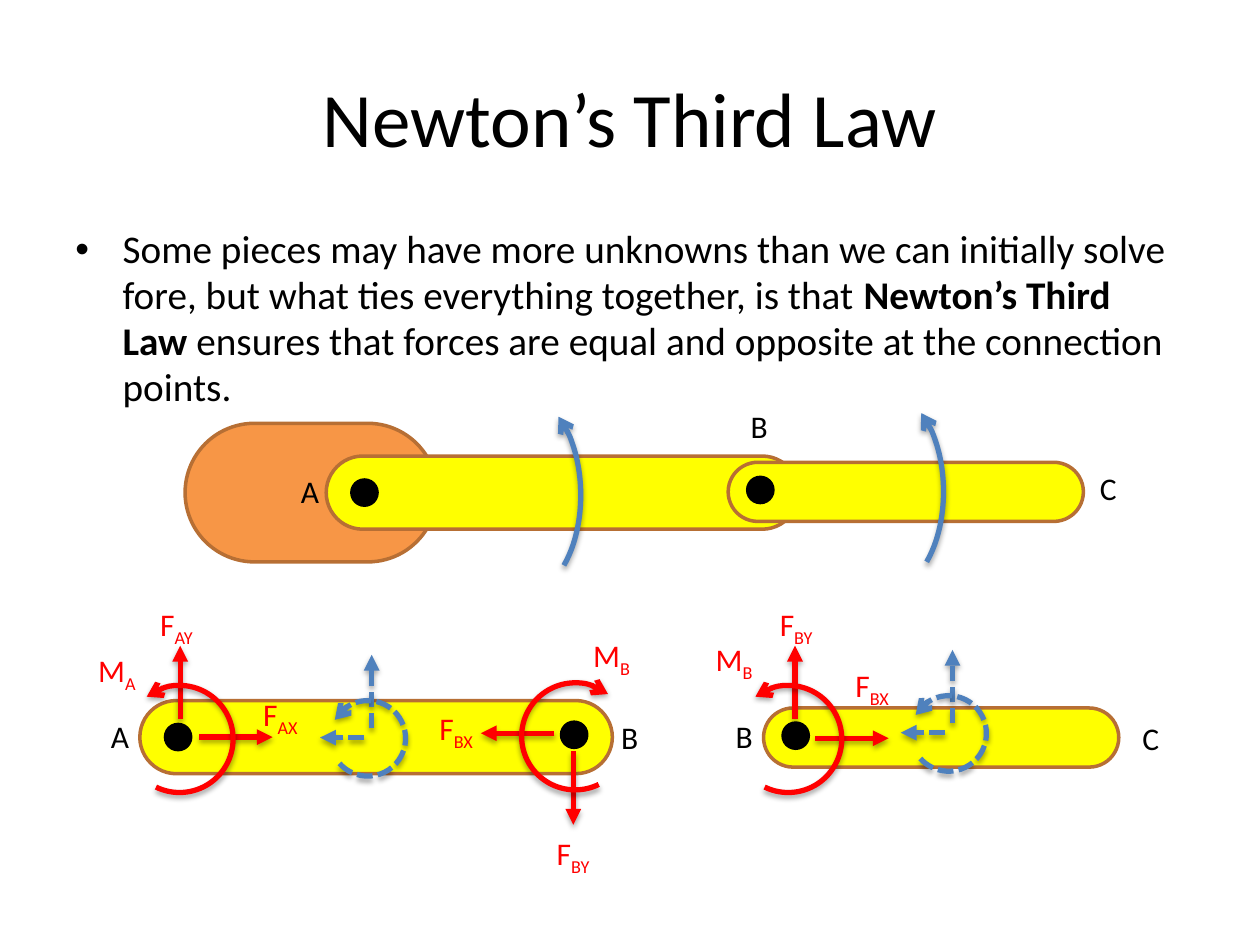
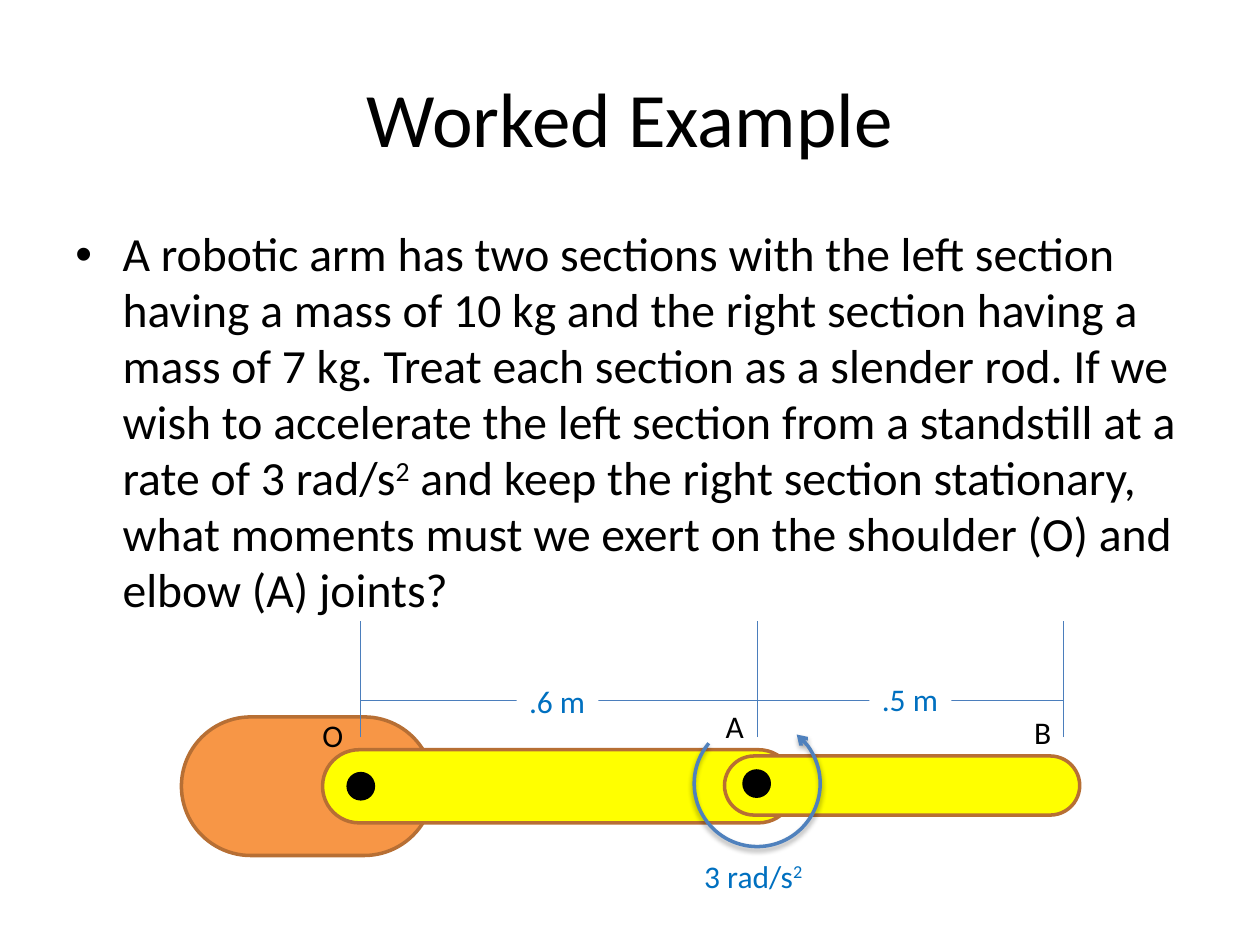
"""Build two slides on Newton's third law applied to a robotic arm."""
from dataclasses import dataclass

from lxml.etree import SubElement
from pptx import Presentation
from pptx.dml.color import RGBColor
from pptx.enum.dml import MSO_LINE
from pptx.enum.shapes import MSO_CONNECTOR, MSO_SHAPE
from pptx.enum.text import MSO_ANCHOR, MSO_AUTO_SIZE, PP_ALIGN
from pptx.oxml.ns import qn
from pptx.util import Pt


@dataclass(frozen=True)
class Theme:
    font: str = "Calibri"
    ink: str = "000000"
    force: str = "FF0000"
    motion: str = "4F81BD"
    dimension: str = "4B7EBC"
    dimension_text: str = "0070C0"
    paper: str = "FFFFFF"
    shoulder: str = "F79646"
    link: str = "FFFF00"
    edge: str = "B76F34"
    title_size: float = 44
    label_size: float = 18
    outline: float = 2
    arrow: float = 3
    hairline: float = 0.75
    shadow_blur: float = 3.1
    shadow_drop: float = 1.8
    shadow_alpha: int = 35


THEME = Theme()

SUB, SUPER = -25, 30

LAW = {
    "title": "Newton’s Third Law",
    "size": 22.4,
    "height": 102,
    "body": [
        ("Some pieces may have more unknowns than we can initially solve fore, "
         "but what ties everything together, is that ",),
        ("Newton’s Third Law ", 0, True),
        ("ensures that forces are equal and opposite at the connection points.",),
    ],
    "arm": (105.8, 241.9),
}
EXAMPLE = {
    "title": "Worked Example",
    "size": 27.2,
    "height": 197,
    "body": [
        ("A robotic arm has two sections with the left section having a mass of "
         "10 kg and the right section having a mass of 7 kg. Treat each section "
         "as a slender rod. If we wish to accelerate the left section from a "
         "standstill at a rate of 3 rad/s",),
        ("2", SUPER),
        (" and keep the right section stationary, what moments must we exert on "
         "the shoulder (O) and elbow (A) joints?",),
    ],
    "arm": (103.7, 409.7),
}

SHOULDER = (144, 79.2)
UPPER_ARM = (270, 41.8)
FOREARM = (203, 33.8)
PIN = 14.4
SHOULDER_PIN = (14.7, 13.7)
UPPER_ELBOW_PIN = (241, 12.4)
FOREARM_ELBOW_PIN = (11.2, 8.6)
UPPER_ARM_OFFSET = (80.6, 18.7)
FOREARM_OFFSET = (310.3, 22.3)

FREE_UPPER_ARM = (79.9, 400.3)
FREE_FOREARM = (436.3, 404.6)

UP, DOWN, LEFT, RIGHT = (0, -1), (0, 1), (-1, 0), (1, 0)
FORCE_LENGTH = 42
FORCES = [
    (103, 411, UP), (113.8, 421.2, RIGHT),
    (454.3, 411, UP), (465.8, 421.9, RIGHT),
    (327.6, 429.3, DOWN), (316.8, 419, LEFT),
]

MOMENT_SIZE = (61.2, 61.2)
MOMENT_SWEEP = (146.33, 76.68)
MOMENTS = [(72, 391.7, "v"), (419.8, 391.7, "v"), (298.1, 390.2, "hv")]

SWING_SIZE = (66.2, 113.8)
SWING_SWEEP = (180.17, 39.33)
SWINGS = [(265.7, 226), (473, 224)]

SPIN_SIZE = (43.2, 43.2)
SPIN_SWEEP = (130.68, 88.2)
ACCELERATIONS = [(188.6, 400.3), (520.5, 397.5)]

WIDTHS = {"A": 25.2, "B": 24.5, "C": 24.5, "O": 26.6, "F": 35.3, "M": 36.7}
POINTS = [
    ("A", 164.9, 266.4), ("B", 421.9, 229), ("C", 621.4, 264.2),
    ("A", 56.2, 406), ("C", 645.8, 407.5), ("B", 347.8, 406.8), ("B", 413.3, 406),
]
UNKNOWNS = [
    ("F", "AX", 143.3, 393.8), ("F", "AY", 84.4, 342), ("F", "BX", 481.7, 377.3),
    ("F", "BY", 438.5, 342), ("F", "BX", 244, 401.8), ("F", "BY", 311, 473),
    ("M", "B", 401.8, 362.2), ("M", "B", 331.9, 360), ("M", "A", 49, 368.6),
]

JOINTS = [("O", 177.1, 405.4), ("A", 407.5, 400.3), ("B", 583.9, 403.9)]
EXTENSION_X = (205.9, 432.7, 607.7)
EXTENSION_TOP, EXTENSION_BOTTOM, DIMENSION_Y = 355, 421.2, 400.3
SPANS = [(".6 m", 295.2, 385.9), (".5 m", 496.8, 385.2)]
RATE = [("3 rad/s",), ("2", SUPER)]
RATE_AT = (395.3, 486)
ELBOW_SWEEP = (192.12, 138.69)


def color(code):
    return RGBColor.from_string(code)


def set_line(shape, code, width, dashed=False, head=None):
    shape.line.color.rgb = color(code)
    shape.line.width = Pt(width)
    if dashed:
        shape.line.dash_style = MSO_LINE.SQUARE_DOT
    if head:
        SubElement(shape.line._get_or_add_ln(), qn("a:tailEnd"), type=head)


def set_effects(shape, cast=False):
    effects = SubElement(shape._element.spPr, qn("a:effectLst"))
    if cast:
        shadow = SubElement(
            effects, qn("a:outerShdw"), blurRad=str(Pt(THEME.shadow_blur)),
            dist=str(Pt(THEME.shadow_drop)), dir="5400000", rotWithShape="0")
        tint = SubElement(shadow, qn("a:srgbClr"), val=THEME.ink)
        SubElement(tint, qn("a:alpha"), val=str(THEME.shadow_alpha * 1000))


def add_runs(paragraph, runs, size, code):
    for text, baseline, bold in ((*run, 0, False)[:3] if len(run) < 3 else run
                                 for run in ((*r, 0) if len(r) == 1 else r for r in runs)):
        run = paragraph.add_run()
        run.text = text
        run.font.name = THEME.font
        run.font.size = Pt(size)
        run.font.bold = bool(bold)
        run.font.color.rgb = color(code)
        if baseline:
            run._r.get_or_add_rPr().set("baseline", str(baseline * 1000))


def add_text(slide, box, runs, size, code=THEME.ink, wrap=True):
    holder = slide.shapes.add_textbox(*map(Pt, box))
    holder.text_frame.word_wrap = wrap
    add_runs(holder.text_frame.paragraphs[0], runs, size, code)
    return holder


def add_label(slide, runs, left, top, width, code=THEME.ink, backed=False):
    label = add_text(slide, (left, top, width, 29), runs, THEME.label_size, code, False)
    label.text_frame.auto_size = MSO_AUTO_SIZE.SHAPE_TO_FIT_TEXT
    if backed:
        label.fill.solid()
        label.fill.fore_color.rgb = color(THEME.paper)


def add_capsule(slide, at, size, fill, edge):
    capsule = slide.shapes.add_shape(MSO_SHAPE.ROUNDED_RECTANGLE, *map(Pt, (*at, *size)))
    capsule.adjustments[0] = 0.5
    capsule.fill.solid()
    capsule.fill.fore_color.rgb = color(fill)
    set_line(capsule, edge, THEME.outline)
    set_effects(capsule)


def add_link(slide, at, size, *pins):
    add_capsule(slide, at, size, THEME.link, THEME.edge)
    for dx, dy in pins:
        add_capsule(slide, (at[0] + dx, at[1] + dy), (PIN, PIN), THEME.ink, THEME.ink)


def add_arm(slide, left, top):
    add_capsule(slide, (left, top), SHOULDER, THEME.shoulder, THEME.edge)
    for (dx, dy), size, pin in ((UPPER_ARM_OFFSET, UPPER_ARM, SHOULDER_PIN),
                                (FOREARM_OFFSET, FOREARM, FOREARM_ELBOW_PIN)):
        add_link(slide, (left + dx, top + dy), size, pin)


def add_straight(slide, start, end, code, width, dashed=False, head=None):
    straight = slide.shapes.add_connector(MSO_CONNECTOR.STRAIGHT, *map(Pt, (*start, *end)))
    set_line(straight, code, width, dashed, head)
    set_effects(straight, cast=bool(head))


def add_arrow(slide, x, y, direction, length, code, dashed=False):
    end = (x + direction[0] * length, y + direction[1] * length)
    add_straight(slide, (x, y), end, code, THEME.arrow, dashed, "triangle")


def add_turn(slide, at, size, sweep, flip, code, width=THEME.arrow, dashed=False, angle=0):
    turn = slide.shapes.add_shape(MSO_SHAPE.ARC, *map(Pt, (*at, *size)))
    turn.adjustments[0], turn.adjustments[1] = sweep
    turn.rotation = angle
    for axis in flip:
        turn._element.spPr.find(qn("a:xfrm")).set("flip" + axis.upper(), "1")
    turn.fill.background()
    set_line(turn, code, width, dashed, "arrow")
    set_effects(turn, cast=True)


def add_slide(deck, content):
    slide = deck.slides.add_slide(deck.slide_layouts[6])
    title = add_text(slide, (36, 21.6, 648, 90), [(content["title"],)], THEME.title_size)
    title.text_frame.vertical_anchor = MSO_ANCHOR.MIDDLE
    title.text_frame.paragraphs[0].alignment = PP_ALIGN.CENTER
    body = add_text(slide, (36, 126, 648, content["height"]), content["body"], content["size"])
    paragraph = body.text_frame.paragraphs[0]
    paragraph.line_spacing = 0.98
    properties = paragraph._p.get_or_add_pPr()
    properties.set("marL", str(Pt(27)))
    properties.set("indent", str(-Pt(27)))
    SubElement(properties, qn("a:buFont"), typeface="Arial")
    SubElement(properties, qn("a:buChar"), char="•")
    add_arm(slide, *content["arm"])
    return slide


def build_law(deck):
    slide = add_slide(deck, LAW)
    add_link(slide, FREE_FOREARM, FOREARM, FOREARM_ELBOW_PIN)
    add_link(slide, FREE_UPPER_ARM, UPPER_ARM, SHOULDER_PIN, UPPER_ELBOW_PIN)
    for x, y, direction in FORCES:
        add_arrow(slide, x, y, direction, FORCE_LENGTH, THEME.force)
    for text, left, top in POINTS:
        add_label(slide, [(text,)], left, top, WIDTHS[text])
    for symbol, index, left, top in UNKNOWNS:
        add_label(slide, [(symbol,), (index, SUB)], left, top, WIDTHS[symbol], THEME.force)
    for left, top, flip in MOMENTS:
        add_turn(slide, (left, top), MOMENT_SIZE, MOMENT_SWEEP, flip, THEME.force)
    for at in SWINGS:
        add_turn(slide, at, SWING_SIZE, SWING_SWEEP, "v", THEME.motion)
    for left, top in ACCELERATIONS:
        add_arrow(slide, left + 23.8, top + 15.9, UP, FORCE_LENGTH, THEME.motion, True)
        add_arrow(slide, left + 19.5, top + 21.2, LEFT, 25.2, THEME.motion, True)
        add_turn(slide, (left, top), SPIN_SIZE, SPIN_SWEEP, "v", THEME.motion,
                 dashed=True, angle=356.3)


def build_example(deck):
    slide = add_slide(deck, EXAMPLE)
    ends = [((x, EXTENSION_BOTTOM), (x, EXTENSION_TOP)) for x in EXTENSION_X]
    ends.append(((EXTENSION_X[0], DIMENSION_Y), (EXTENSION_X[-1], DIMENSION_Y)))
    for start, end in ends:
        add_straight(slide, start, end, THEME.dimension, THEME.hairline)
    add_turn(slide, (396.7, 411.8), (72, 72), ELBOW_SWEEP, "h", THEME.motion, THEME.outline)
    for text, left, top in SPANS:
        add_label(slide, [(text,)], left, top, 46.8, THEME.dimension_text, True)
    add_label(slide, RATE, *RATE_AT, 72, THEME.dimension_text)
    for text, left, top in JOINTS:
        add_label(slide, [(text,)], left, top, WIDTHS[text])


def main():
    deck = Presentation()
    deck.slide_width, deck.slide_height = Pt(720), Pt(540)
    build_law(deck)
    build_example(deck)
    deck.save("out.pptx")


if __name__ == "__main__":
    main()
